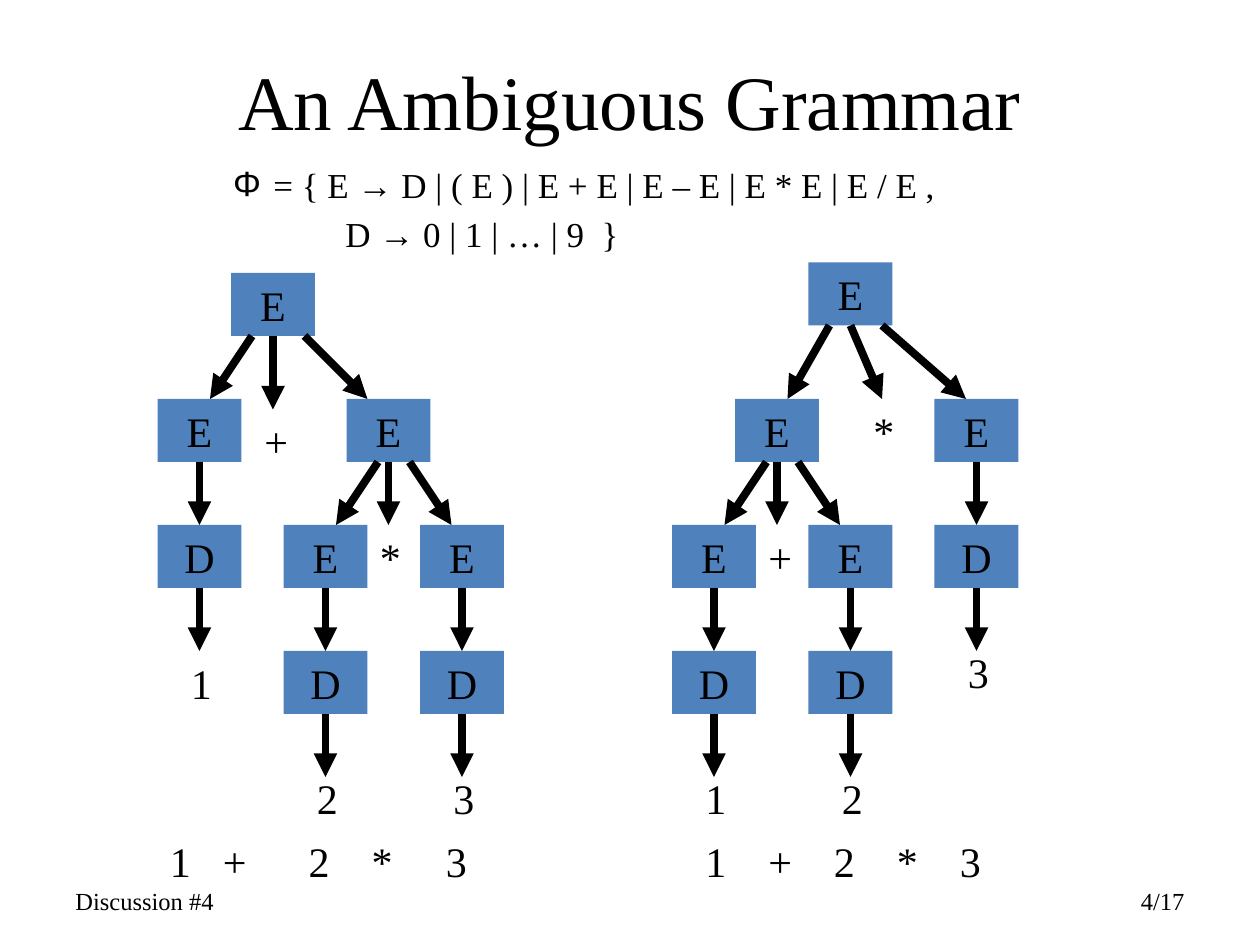
from lxml.etree import SubElement
from pptx import Presentation
from pptx.dml.color import RGBColor
from pptx.enum.shapes import MSO_CONNECTOR as Connector, MSO_SHAPE as Shape
from pptx.enum.text import MSO_ANCHOR as Anchor, MSO_AUTO_SIZE as AutoSize, PP_ALIGN as Align
from pptx.oxml.ns import qn
from pptx.util import Inches, Pt

FONT = "Times New Roman"
BLACK = "000000"
BLUE = "4F81BD"
NODE_WIDTH, NODE_HEIGHT, NODE_CENTER = 8, 6, 4

PLUS_FIRST_TREE = {
    "origin": (15, 26),
    "nodes": {
        "root": ("E", 7, 0), "left": ("E", 0, 12), "right": ("E", 18, 12),
        "left digit": ("D", 0, 24), "second": ("E", 12, 24), "third": ("E", 25, 24),
        "second digit": ("D", 12, 36), "third digit": ("D", 25, 36),
    },
    "branches": [
        ("root", "left", "right", (2, 7), (5, 2), (11, 13), ("+", 9, 13)),
        ("right", "second", "third", (3, 6), (5, 3), (22, 24), ("*", 20, 24)),
    ],
    "chains": [("left", "left digit"), ("second", "second digit"), ("third", "third digit")],
    "terminals": [("left digit", "1", 36), ("second digit", "2", 47), ("third digit", "3", 47)],
    "sentence": ("1\t+\t2\t*\t3", 0, 53, (0.42, 1.1, 1.6, 2.19)),
}
TIMES_FIRST_TREE = {
    "origin": (64, 25),
    "nodes": {
        "root": ("E", 13, 0), "left": ("E", 6, 13), "right": ("E", 25, 13),
        "first": ("E", 0, 25), "second": ("E", 13, 25), "right digit": ("D", 25, 25),
        "first digit": ("D", 0, 37), "second digit": ("D", 13, 37),
    },
    "branches": [
        ("root", "left", "right", (2, 7), (5, 3), (20, 13), ("*", 18, 13)),
        ("left", "first", "second", (3, 6), (5, 3), (10, 25), ("+", 8, 25)),
    ],
    "chains": [("right", "right digit"), ("first", "first digit"), ("second", "second digit")],
    "terminals": [("first digit", "1", 48), ("second digit", "2", 48), ("right digit", "3", 36)],
    "sentence": ("1\t+\t2\t*\t3", 2, 54, (0.5, 1.02, 1.52, 2.02)),
}


def color(value):
    """Turn a hex string into a colour."""
    return RGBColor.from_string(value)


def unit(count):
    """Return a length of so many twelfths of an inch."""
    return Inches(count / 12)


def write(shape, text, size=24, align=Align.LEFT, anchor=Anchor.TOP, before=0):
    """Write text into a shape, one paragraph for each line, and return the paragraphs."""
    frame = shape.text_frame
    frame.word_wrap = True
    frame.auto_size = AutoSize.NONE
    frame.vertical_anchor = anchor
    frame.text = text
    for paragraph in frame.paragraphs:
        paragraph.alignment = align
        paragraph.space_before = Pt(before)
        for run in paragraph.runs:
            run.font.name = FONT
            run.font.size = Pt(size)
            run.font.color.rgb = color(BLACK)
    return frame.paragraphs


def place(shape, left, top, width, height):
    """Move a shape to a box given in inches."""
    shape.left, shape.top = Inches(left), Inches(top)
    shape.width, shape.height = Inches(width), Inches(height)


def add_text(shapes, text, left, top, width, height, **format):
    """Add a text box at a box given as lengths."""
    return write(shapes.add_textbox(left, top, width, height), text, **format)


def add_arrow(shapes, start, end):
    """Add a thick black arrow between two points in twelfths of an inch."""
    arrow = shapes.add_connector(Connector.STRAIGHT, *map(unit, start + end))
    arrow.line.color.rgb = color(BLACK)
    arrow.line.width = Pt(4.5)
    SubElement(arrow.line._get_or_add_ln(), qn("a:tailEnd"), type="triangle")
    SubElement(arrow._element.spPr, qn("a:effectLst"))
    return arrow


def add_node(shapes, label, left, top):
    """Add a blue grammar symbol box."""
    node = shapes.add_shape(Shape.RECTANGLE, *map(unit, (left, top, NODE_WIDTH, NODE_HEIGHT)))
    node.shadow.inherit = False
    node.fill.solid()
    node.fill.fore_color.rgb = color(BLUE)
    node.line.fill.background()
    write(node, label, align=Align.CENTER)
    return node


def add_tree(slide, tree):
    """Add a parse tree with its sentence, grouped, relative to the tree's origin."""
    shapes = slide.shapes.add_group_shape().shapes
    left, top = tree["origin"]
    spots = {name: (left + x, top + y) for name, (_, x, y) in tree["nodes"].items()}
    nodes = {name: add_node(shapes, tree["nodes"][name][0], *spot) for name, spot in spots.items()}

    def add_symbol(text, x, y, width=5):
        """Add plain text at a place within the tree."""
        return add_text(shapes, text, *map(unit, (left + x, top + y, width, 6)))

    def add_drop(name, end):
        """Add an arrow from the middle of a node's bottom side."""
        x, y = spots[name]
        arrow = add_arrow(shapes, (x + NODE_CENTER, y + NODE_HEIGHT), end)
        arrow.begin_connect(nodes[name], 2)
        return arrow

    for parent, first, last, exits, entries, tip, operator in tree["branches"]:
        x, y = spots[parent]
        for child, leave, enter in zip((first, last), exits, entries):
            child_x, child_y = spots[child]
            add_arrow(shapes, (x + leave, y + NODE_HEIGHT), (child_x + enter, child_y))
        add_drop(parent, (left + tip[0], top + tip[1]))
        add_symbol(*operator)
    for parent, child in tree["chains"]:
        x, y = spots[child]
        add_drop(parent, (x + NODE_CENTER, y)).end_connect(nodes[child], 0)
    for name, text, text_top in tree["terminals"]:
        x, y = spots[name]
        add_drop(name, (x + NODE_CENTER, y + 2 * NODE_HEIGHT))
        add_symbol(text, x - left + 2, text_top)
    sentence, x, y, stops = tree["sentence"]
    paragraph = add_symbol(sentence, x, y, width=34)[0]
    tab_list = SubElement(paragraph._p.get_or_add_pPr(), qn("a:tabLst"))
    for stop in stops:
        SubElement(tab_list, qn("a:tab"), pos=str(Inches(stop)), algn="l")


def add_heading(slide):
    """Fill the title placeholder."""
    title = slide.shapes.title
    place(title, 0.75, 0.17, 8.5, 1.25)
    write(title, "An Ambiguous Grammar", size=44, align=Align.CENTER, anchor=Anchor.MIDDLE)


def add_grammar(slide):
    """Fill the body placeholder with the production rules."""
    body = slide.placeholders[1]
    place(body, 1.5, 1.25, 6.42, 0.83)
    rules = " = { E → D | ( E ) | E + E | E – E | E * E | E / E ,\nD → 0 | 1 | … | 9  }"
    first, second = write(body, rules, size=20, before=4)
    for paragraph, margin, indent in ((first, 0.5, -0.25), (second, 1.14, 0)):
        properties = paragraph._p.get_or_add_pPr()
        properties.set("marL", str(Inches(margin)))
        properties.set("indent", str(Inches(indent)))
    SubElement(first._p.pPr, qn("a:buChar"), char="Φ")
    SubElement(second._p.pPr, qn("a:buNone"))


def add_footer(slide):
    """Add the discussion name and the page count at the bottom."""
    for text, left, align in (("Discussion #4", 0.5, Align.LEFT), ("4/17", 7.17, Align.RIGHT)):
        add_text(slide.shapes, text, *map(Inches, (left, 6.95, 2.33, 0.4)),
                 size=14, align=align, anchor=Anchor.MIDDLE)


def main():
    """Build and save the presentation."""
    presentation = Presentation()
    presentation.slide_width, presentation.slide_height = Inches(10), Inches(7.5)
    slide = presentation.slides.add_slide(presentation.slide_layouts[1])
    add_heading(slide)
    add_grammar(slide)
    add_footer(slide)
    for tree in (PLUS_FIRST_TREE, TIMES_FIRST_TREE):
        add_tree(slide, tree)
    presentation.save("out.pptx")


if __name__ == "__main__":
    main()
